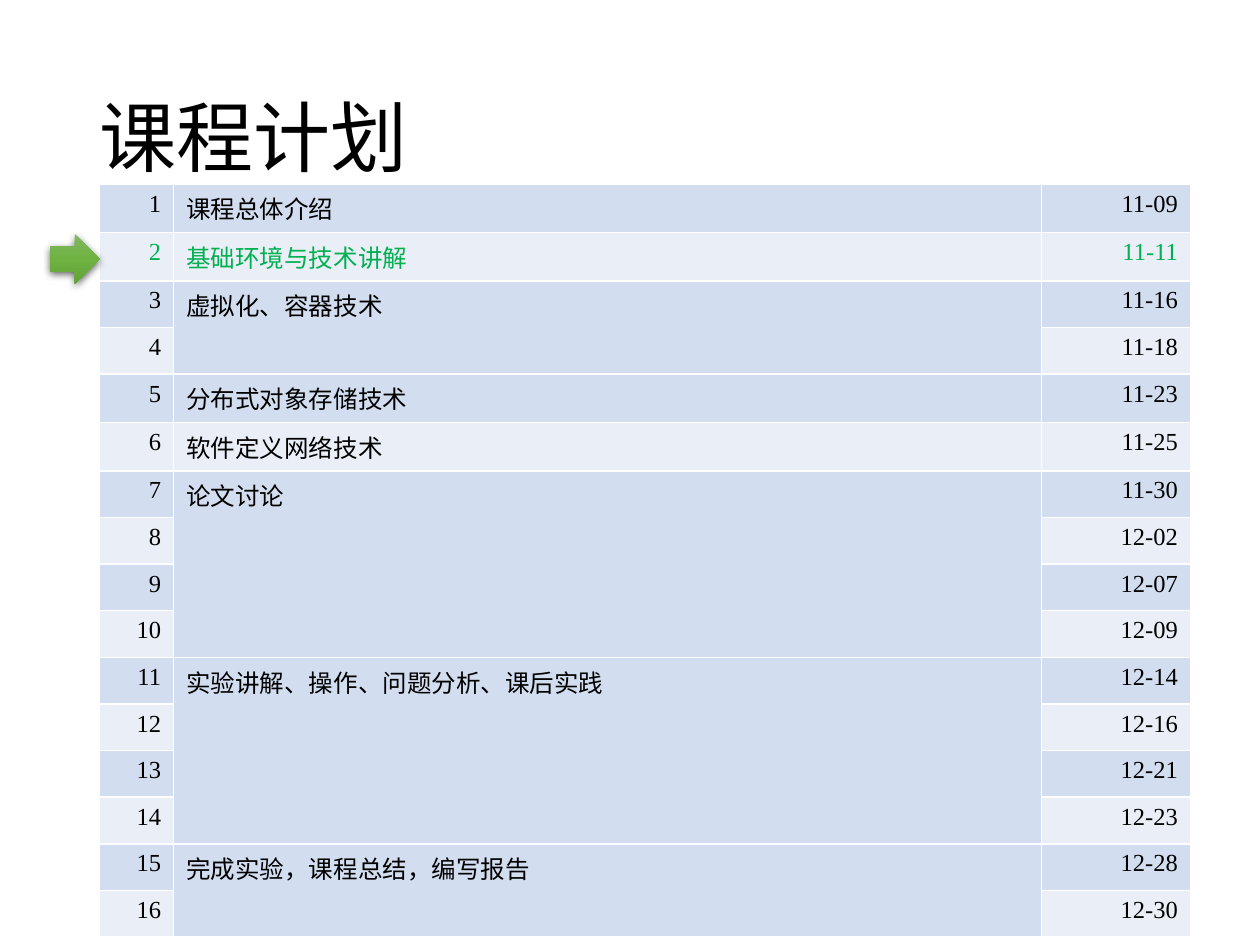
"""Build the course plan slide: a timetable with an arrow at the current lesson."""
from copy import deepcopy

from lxml import etree
from pptx import Presentation
from pptx.dml.color import RGBColor
from pptx.enum import shapes, text
from pptx.oxml import ns
from pptx.util import Cm, Pt

TITLE = "课程计划"
TOPICS = [
    ("课程总体介绍", ["11-09"]),
    ("基础环境与技术讲解", ["11-11"]),
    ("虚拟化、容器技术", ["11-16", "11-18"]),
    ("分布式对象存储技术", ["11-23"]),
    ("软件定义网络技术", ["11-25"]),
    ("论文讨论", ["11-30", "12-02", "12-07", "12-09"]),
    ("实验讲解、操作、问题分析、课后实践", ["12-14", "12-16", "12-21", "12-23"]),
    ("完成实验，课程总结，编写报告", ["12-28", "12-30"]),
]
CURRENT_LESSON = 2

FONT = "Times New Roman"
BLACK = RGBColor(0x00, 0x00, 0x00)
GREEN = RGBColor(0x00, 0xB0, 0x50)
BANDS = [RGBColor(0xD2, 0xDE, 0xEF), RGBColor(0xEA, 0xEF, 0xF7)]
ARROW_STOPS = [
    (0, RGBColor(0x81, 0xB8, 0x61)),
    (0.5, RGBColor(0x6F, 0xB2, 0x42)),
    (1, RGBColor(0x62, 0xA3, 0x36)),
]
ARROW_SHADOW = (
    f'<a:effectLst {ns.nsdecls("a")}>'
    '<a:outerShdw blurRad="57150" dist="19050" dir="5400000" algn="ctr" rotWithShape="0">'
    '<a:srgbClr val="000000"><a:alpha val="63000"/></a:srgbClr>'
    "</a:outerShdw></a:effectLst>"
)

TABLE_LEFT, TABLE_TOP = Cm(2.01), Cm(3.71)
COLUMN_WIDTHS = [Cm(1.49), Cm(17.5), Cm(3)]
ROW_HEIGHT = Cm(0.94)
ARROW_SIZE = Cm(1)


def format_text(para, size, color, align):
    para.alignment = align
    for span in para.runs:
        span.font.name = FONT
        span.font.size = Pt(size)
        span.font.color.rgb = color


def add_title(page):
    box = page.shapes.title
    box.left, box.top, box.width, box.height = Cm(1.75), Cm(1.02), Cm(21.9), Cm(3.68)
    box.text_frame.text = TITLE
    box.text_frame.vertical_anchor = text.MSO_ANCHOR.MIDDLE
    para = box.text_frame.paragraphs[0]
    para.line_spacing = 0.9
    format_text(para, 44, BLACK, text.PP_ALIGN.LEFT)


def fill_cell(cell, words, row, align):
    cell.text_frame.text = words
    color = GREEN if row + 1 == CURRENT_LESSON else BLACK
    format_text(cell.text_frame.paragraphs[0], 14, color, align)
    cell.fill.solid()
    cell.fill.fore_color.rgb = BANDS[row % 2]


def add_plan(page):
    count = sum(len(dates) for _, dates in TOPICS)
    frame = page.shapes.add_table(
        count, len(COLUMN_WIDTHS), TABLE_LEFT, TABLE_TOP, sum(COLUMN_WIDTHS), ROW_HEIGHT * count
    )
    table = frame.table
    table.first_row = table.horz_banding = False
    for column, width in zip(table.columns, COLUMN_WIDTHS):
        column.width = width
    for line in table.rows:
        line.height = ROW_HEIGHT
    row = 0
    for topic, dates in TOPICS:
        topic_cell = table.cell(row, 1)
        if len(dates) > 1:
            topic_cell.merge(table.cell(row + len(dates) - 1, 1))
        fill_cell(topic_cell, topic, row, text.PP_ALIGN.LEFT)
        for date in dates:
            fill_cell(table.cell(row, 0), str(row + 1), row, text.PP_ALIGN.RIGHT)
            fill_cell(table.cell(row, 2), date, row, text.PP_ALIGN.RIGHT)
            row += 1


def add_arrow(page):
    middle = TABLE_TOP + ROW_HEIGHT * (CURRENT_LESSON - 0.5)
    arrow = page.shapes.add_shape(
        shapes.MSO_SHAPE.RIGHT_ARROW,
        TABLE_LEFT - ARROW_SIZE, int(middle - ARROW_SIZE / 2 + Cm(0.1)), ARROW_SIZE, ARROW_SIZE,
    )
    arrow.line.fill.background()
    arrow.fill.gradient()
    arrow.fill.gradient_angle = 270
    properties = arrow.element.spPr
    stops = properties.find(".//" + ns.qn("a:gsLst"))
    stops.append(deepcopy(stops[0]))
    for stop, (position, color) in zip(arrow.fill.gradient_stops, ARROW_STOPS):
        stop.position = position
        stop.color.rgb = color
    properties.append(etree.fromstring(ARROW_SHADOW))


def main():
    deck = Presentation()
    deck.slide_width, deck.slide_height = Cm(25.4), Cm(19.05)
    page = deck.slides.add_slide(deck.slide_layouts[5])
    add_title(page)
    add_plan(page)
    add_arrow(page)
    deck.save("out.pptx")


if __name__ == "__main__":
    main()
